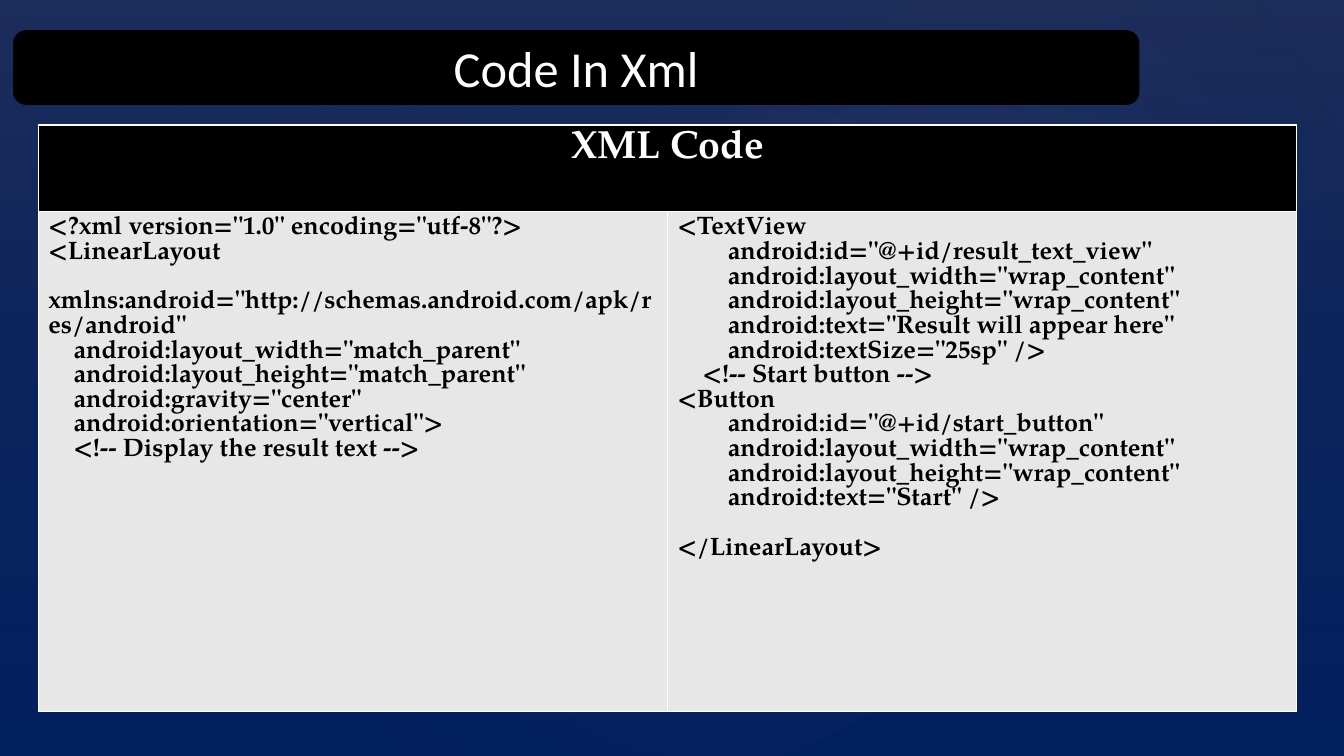
from dataclasses import dataclass

from lxml import etree
from pptx import Presentation
from pptx.dml.color import RGBColor
from pptx.enum.shapes import MSO_SHAPE
from pptx.enum.text import MSO_ANCHOR, PP_ALIGN
from pptx.oxml import parse_xml
from pptx.oxml.ns import nsdecls, qn
from pptx.util import Inches, Pt

RECTANGLE, ROUNDED, OVAL = MSO_SHAPE.RECTANGLE, MSO_SHAPE.ROUNDED_RECTANGLE, MSO_SHAPE.OVAL
MIDDLE, CENTER, LEFT = MSO_ANCHOR.MIDDLE, PP_ALIGN.CENTER, PP_ALIGN.LEFT


@dataclass(frozen=True)
class Theme:
    navy: str = "002060"
    dusk: str = "504652"
    indigo: str = "242852"
    glow: str = "C4BCC6"
    black: str = "000000"
    white: str = "FFFFFF"
    panel: str = "E7E7E7"
    title_font: str = "Calibri"
    code_font: str = "TeX Gyre Pagella"
    title_size: float = 36
    header_size: float = 28
    code_size: float = 18
    code_leading: float = 17.6


LAYOUT_CODE = """<?xml version="1.0" encoding="utf-8"?>
<LinearLayout
    xmlns:android="http://schemas.android.com/apk/res/android"
    android:layout_width="match_parent"
    android:layout_height="match_parent"
    android:gravity="center"
    android:orientation="vertical">
    <!-- Display the result text -->"""

WIDGET_CODE = """<TextView
        android:id="@+id/result_text_view"
        android:layout_width="wrap_content"
        android:layout_height="wrap_content"
        android:text="Result will appear here"
        android:textSize="25sp" />
    <!-- Start button -->
<Button
        android:id="@+id/start_button"
        android:layout_width="wrap_content"
        android:layout_height="wrap_content"
        android:text="Start" />

</LinearLayout>"""

# Left, top, width, height in percent of the slide, rotation, opacity in percent
GLOWS = [
    ((15, 15.2, 79.2, 83.2), 328.7, 7),
    ((4.58, 6.13, 45.46, 87.07), 294.3, 8),
    ((35.86, 1.73, 70.89, 69.33), 328.7, 8),
]


class SlideBuilder:
    """Places elements on one slide, with lengths in percent of its size."""

    def __init__(self, deck, theme):
        self.deck, self.theme = deck, theme
        self.page = deck.slides.add_slide(deck.slide_layouts[6])
        fill = self.page.background.fill
        fill.solid()
        fill.fore_color.rgb = RGBColor.from_string(theme.navy)

    def across(self, share):
        return round(self.deck.slide_width * share / 100)

    def down(self, share):
        return round(self.deck.slide_height * share / 100)

    def shape(self, kind, area, color=None):
        left, top, width, height = area
        shape = self.page.shapes.add_shape(
            kind, self.across(left), self.down(top), self.across(width), self.down(height))
        shape.shadow.inherit = False
        if color:
            shape.fill.solid()
            shape.fill.fore_color.rgb = RGBColor.from_string(color)
        shape.line.fill.background()
        return shape

    def gradient(self, kind, area, stops, direction, rotation=0):
        """Add a shape filled with (position, colour, opacity) stops, in percent."""
        shape = self.shape(kind, area)
        shape.rotation = rotation
        marks = "".join(
            f'<a:gs pos="{position * 1000}"><a:srgbClr val="{color}">'
            f'<a:alpha val="{opacity * 1000}"/></a:srgbClr></a:gs>'
            for position, color, opacity in stops)
        fill = parse_xml(
            f'<a:gradFill {nsdecls("a")} rotWithShape="1"><a:gsLst>{marks}</a:gsLst>'
            f'{direction}</a:gradFill>')
        shape._element.spPr.find(qn("a:prstGeom")).addnext(fill)

    def backdrop(self):
        theme = self.theme
        self.gradient(RECTANGLE, (0, 0, 100, 100),
                      [(0, theme.dusk, 36), (100, theme.indigo, 10)],
                      '<a:lin ang="5400000" scaled="0"/>')
        for area, rotation, opacity in GLOWS:
            self.gradient(OVAL, area, [(0, theme.glow, opacity), (58, theme.indigo, 0)],
                          '<a:path path="circle"><a:fillToRect l="50000" t="50000" '
                          'r="50000" b="50000"/></a:path>', rotation)

    def style(self, paragraph, font_name, size, color, bold=False, align=LEFT):
        paragraph.alignment = align
        font = paragraph.font
        font.name, font.size, font.bold = font_name, Pt(size), bold
        font.color.rgb = RGBColor.from_string(color)

    def title(self, text, area):
        theme = self.theme
        bar = self.shape(ROUNDED, area, theme.black)
        bar.line.color.rgb = RGBColor.from_string(theme.black)
        bar.line.width = Pt(1.5)
        bar.text_frame.vertical_anchor = MIDDLE
        paragraph = bar.text_frame.paragraphs[0]
        paragraph.text = text
        self.style(paragraph, theme.title_font, theme.title_size, theme.white, align=CENTER)

    def paint_cell(self, cell, color):
        properties = cell._tc.get_or_add_tcPr()
        for side in ("lnL", "lnR", "lnT", "lnB"):
            line = etree.SubElement(properties, qn(f"a:{side}"), w=str(Pt(1)))
            solid = etree.SubElement(line, qn("a:solidFill"))
            etree.SubElement(solid, qn("a:srgbClr"), val=self.theme.white)
        cell.fill.solid()
        cell.fill.fore_color.rgb = RGBColor.from_string(color)

    def code(self, cell, source):
        """Fill a cell with code; an empty line becomes space before the next one."""
        theme = self.theme
        frame = cell.text_frame
        paragraph, gap = frame.paragraphs[0], 0
        for number, line in enumerate(source.split("\n")):
            if not line:
                gap += theme.code_leading
                continue
            if number:
                paragraph = frame.add_paragraph()
            paragraph.text = line
            paragraph.line_spacing = Pt(theme.code_leading)
            if gap:
                paragraph.space_before = Pt(gap)
                gap = 0
            self.style(paragraph, theme.code_font, theme.code_size, theme.black, bold=True)

    def code_table(self, header, sources, area, header_height):
        theme = self.theme
        left, top, width, height = area
        table = self.page.shapes.add_table(
            2, len(sources), self.across(left), self.down(top),
            self.across(width), self.down(height)).table
        table.rows[0].height = self.down(header_height)
        table.rows[1].height = self.down(height - header_height)
        for column, source in enumerate(sources):
            self.paint_cell(table.cell(0, column), theme.black)
            self.paint_cell(table.cell(1, column), theme.panel)
            self.code(table.cell(1, column), source)
        heading = table.cell(0, 0)
        heading.merge(table.cell(0, len(sources) - 1))
        paragraph = heading.text_frame.paragraphs[0]
        paragraph.text = header
        self.style(paragraph, theme.code_font, theme.header_size, theme.white, True, CENTER)


def main():
    deck = Presentation()
    deck.slide_width, deck.slide_height = Inches(13.33), Inches(7.5)
    builder = SlideBuilder(deck, Theme())
    builder.backdrop()
    builder.title("Code In Xml", (1.05, 4.13, 83.65, 9.6))
    builder.code_table("XML Code", [LAYOUT_CODE, WIDGET_CODE],
                       (2.85, 16.53, 93.62, 77.6), 11.47)
    deck.save("out.pptx")


if __name__ == "__main__":
    main()
